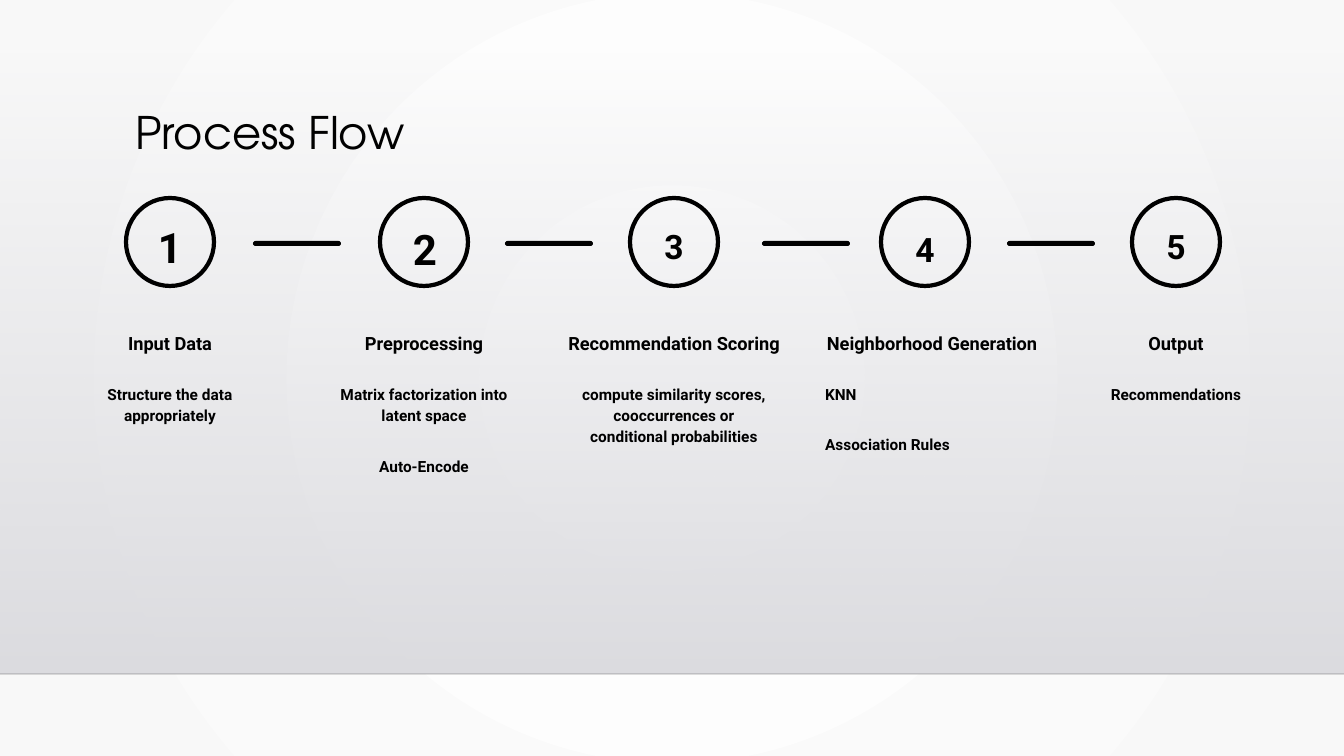
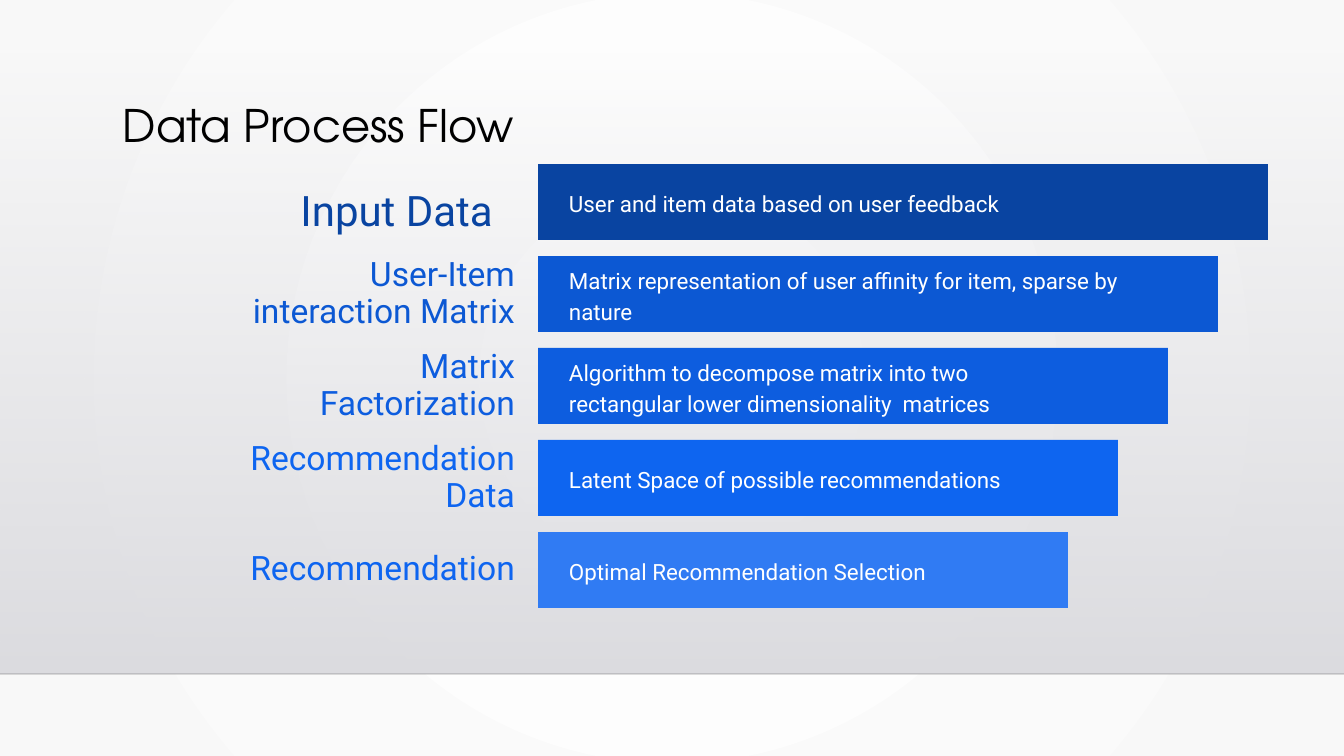
"""Build a two-slide deck on the steps of a recommendation process."""
import pptx
import pptx.dml.color
import pptx.enum.shapes
import pptx.enum.text
import pptx.oxml.ns
import pptx.oxml.xmlchemy
import pptx.util

SLIDE_WIDTH, SLIDE_HEIGHT = 1344, 756
EMU_PER_PX = 12192000 / SLIDE_WIDTH
BLACK, WHITE = "000000", "FFFFFF"
SHAPE = pptx.enum.shapes.MSO_SHAPE
ALIGN = pptx.enum.text.PP_ALIGN
ANCHOR = pptx.enum.text.MSO_ANCHOR
qn = pptx.oxml.ns.qn
new_element = pptx.oxml.xmlchemy.OxmlElement


def px(length):
    """Turn pixels into EMU."""
    return pptx.util.Emu(round(length * EMU_PER_PX))


def color(value):
    """Turn a hex string into a colour."""
    return pptx.dml.color.RGBColor.from_string(value)


def set_alpha(srgb_color, percent):
    """Make one colour element partly transparent."""
    alpha = new_element("a:alpha")
    alpha.set("val", str(percent * 1000))
    srgb_color.append(alpha)


def set_gradient(fill, first, last):
    """Give a fill a gradient of two colours."""
    fill.gradient()
    for stop, position, value in zip(fill.gradient_stops, (0, 1), (first, last)):
        stop.position = position
        stop.color.rgb = color(value)


def write_text(frame, text, *, size, font="Roboto", fill=BLACK, bold=False, align=ALIGN.LEFT,
               anchor=ANCHOR.TOP, line_spacing=1.15, gap=0, insets=(13, 13, 13, 13)):
    """Fill a text frame, one paragraph for each line of the text."""
    frame.word_wrap = True
    frame.auto_size = pptx.enum.text.MSO_AUTO_SIZE.NONE
    frame.vertical_anchor = anchor
    (frame.margin_left, frame.margin_top,
     frame.margin_right, frame.margin_bottom) = map(px, insets)
    for index, line in enumerate(text.split("\n")):
        paragraph = frame.add_paragraph() if index else frame.paragraphs[0]
        paragraph.alignment = align
        paragraph.line_spacing = line_spacing
        paragraph.space_before = pptx.util.Pt(gap if index else 0)
        run = paragraph.add_run()
        run.text = line
        run.font.name = font
        run.font.size = pptx.util.Pt(size)
        run.font.bold = bold
        run.font.color.rgb = color(fill)


class Deck:
    """Holds the shared style and the current slide."""

    def __init__(self):
        self.presentation = pptx.Presentation()
        self.presentation.slide_width = px(SLIDE_WIDTH)
        self.presentation.slide_height = px(SLIDE_HEIGHT)
        self.slide = None

    def start_slide(self, title, left, top):
        """Add a slide with a styled title."""
        first = self.slide is None
        self.slide = self.presentation.slides.add_slide(self.presentation.slide_layouts[5])
        if first:
            self.style_master()
        shape = self.slide.shapes.title
        shape.left, shape.top, shape.width, shape.height = map(px, (left, top, 1058, 60))
        write_text(shape.text_frame, title, size=32, font="TeX Gyre Adventor",
                   line_spacing=0.9, insets=(10, 5, 10, 5))

    def style_master(self):
        """Put the background, the shaded band and its edge on the master."""
        master = self.presentation.slide_master
        set_gradient(master.background.fill, WHITE, "F8F8F8")
        linear = next(master._element.iter(qn("a:lin")))
        radial = new_element("a:path")
        radial.set("path", "circle")
        center = new_element("a:fillToRect")
        for side in "ltrb":
            center.set(side, "50000")
        radial.append(center)
        linear.getparent().replace(linear, radial)

        band = self.add_shape(SHAPE.RECTANGLE, 0, 51, SLIDE_WIDTH, 623)
        set_gradient(band.fill, "DCDCE0", "DDDDE1")
        band.fill.gradient_angle = 270
        set_alpha(next(band._element.iter(qn("a:srgbClr"))), 0)
        edge = self.add_line(0, 674, SLIDE_WIDTH, 674)
        set_alpha(next(edge._element.iter(qn("a:srgbClr"))), 20)
        for index, shape in enumerate((band, edge)):
            next(shape._element.iter(qn("p:cNvPr"))).set("id", str(100 + index))
            master.shapes._spTree.insert(2 + index, shape._element)

    def add_shape(self, kind, left, top, width, height, fill=None, outline=None):
        """Add a flat preset shape."""
        shape = self.slide.shapes.add_shape(kind, *map(px, (left, top, width, height)))
        shape.shadow.inherit = False
        if fill:
            shape.fill.solid()
            shape.fill.fore_color.rgb = color(fill)
        else:
            shape.fill.background()
        if outline:
            shape.line.color.rgb = color(outline)
            shape.line.width = pptx.util.Pt(3)
        else:
            shape.line.fill.background()
        return shape

    def add_line(self, left, top, right, bottom):
        """Add a thin straight line."""
        line = self.slide.shapes.add_connector(
            pptx.enum.shapes.MSO_CONNECTOR.STRAIGHT, *map(px, (left, top, right, bottom)))
        line.line.color.rgb = color(BLACK)
        line.line.width = pptx.util.Pt(1)
        line._element.spPr.append(new_element("a:effectLst"))
        return line

    def add_text(self, text, left, top, width, height, **text_format):
        """Add a text box."""
        box = self.slide.shapes.add_textbox(*map(px, (left, top, width, height)))
        write_text(box.text_frame, text, **text_format)

    def add_step(self, number, center, heading, body, number_size, number_top,
                 heading_shift=0, number_shift=0, body_align=ALIGN.CENTER):
        """Add a numbered circle with its heading and body."""
        self.add_shape(SHAPE.OVAL, center - 44, 198, 88, 88, outline=BLACK)
        self.add_text(str(number), center + number_shift - 32, number_top, 64, 65,
                      size=number_size, bold=True, align=ALIGN.CENTER)
        self.add_text(heading, center + heading_shift - 120, 301, 240, 66, size=13,
                      bold=True, align=ALIGN.CENTER, anchor=ANCHOR.BOTTOM)
        self.add_text(body, center - 113, 369, 226, 109, size=11, bold=True,
                      align=body_align, gap=21)

    def add_dash(self, left):
        """Add a rounded dash between two steps."""
        dash = self.add_shape(SHAPE.ROUNDED_RECTANGLE, left, 241, 88, 5, fill=BLACK)
        dash.adjustments[0] = 0.5

    def add_bar(self, top, width, label, text, label_fill, bar_fill,
                label_size=24, label_right=528, label_drop=0):
        """Add a bar with text inside and a label to its left."""
        self.add_text(label, label_right - 303, top + 5 + label_drop, 303, 66,
                      size=label_size, fill=label_fill, align=ALIGN.RIGHT,
                      anchor=ANCHOR.MIDDLE, line_spacing=0.9, insets=(13, 7, 13, 7))
        bar = self.add_shape(SHAPE.RECTANGLE, 538, top, width, 76, fill=bar_fill)
        write_text(bar.text_frame, text, size=16, fill=WHITE, anchor=ANCHOR.MIDDLE,
                   insets=(31, 0, 90, 0))


def add_process_flow(deck):
    """Build the slide with five numbered steps."""
    deck.start_slide("Process Flow", 125, 106)
    for left in (253, 505, 762, 1007):
        deck.add_dash(left)
    deck.add_step(1, 170, "Input Data", "Structure the data appropriately", 30, 201)
    deck.add_step(2, 424, "Preprocessing",
                  "Matrix factorization into latent space\nAuto-Encode", 30, 203,
                  number_shift=1)
    deck.add_step(3, 674, "Recommendation Scoring",
                  "compute similarity scores, cooccurrences or conditional probabilities",
                  24, 207)
    deck.add_step(4, 925, "Neighborhood Generation", "KNN\nAssociation Rules", 24, 210,
                  heading_shift=7, body_align=ALIGN.LEFT)
    deck.add_step(5, 1176, "Output", "Recommendations", 24, 207)


def add_data_process_flow(deck):
    """Build the slide with five shrinking bars."""
    deck.start_slide("Data Process Flow", 113, 99)
    bars = (
        ("Input Data", "User and item data based on user feedback", "0944A1", "0944A1",
         {"label_size": 30, "label_right": 506, "label_drop": 11}),
        ("User-Item interaction Matrix",
         "Matrix representation of user affinity for item, sparse by nature",
         "0C58D3", "0C58D3", {}),
        ("Matrix Factorization",
         "Algorithm to decompose matrix into two rectangular lower dimensionality  matrices",
         "0D5DDF", "0D5DDF", {}),
        ("Recommendation Data", "Latent Space of possible recommendations",
         "0E65F0", "0E65F0", {}),
        ("Recommendation", "Optimal Recommendation Selection", "0E65F0", "307BF3", {}),
    )
    for index, (label, text, label_fill, bar_fill, options) in enumerate(bars):
        deck.add_bar(164 + 92 * index, 730 - 50 * index, label, text,
                     label_fill, bar_fill, **options)


def main():
    """Build and save the deck."""
    deck = Deck()
    add_process_flow(deck)
    add_data_process_flow(deck)
    deck.presentation.save("out.pptx")


if __name__ == "__main__":
    main()
